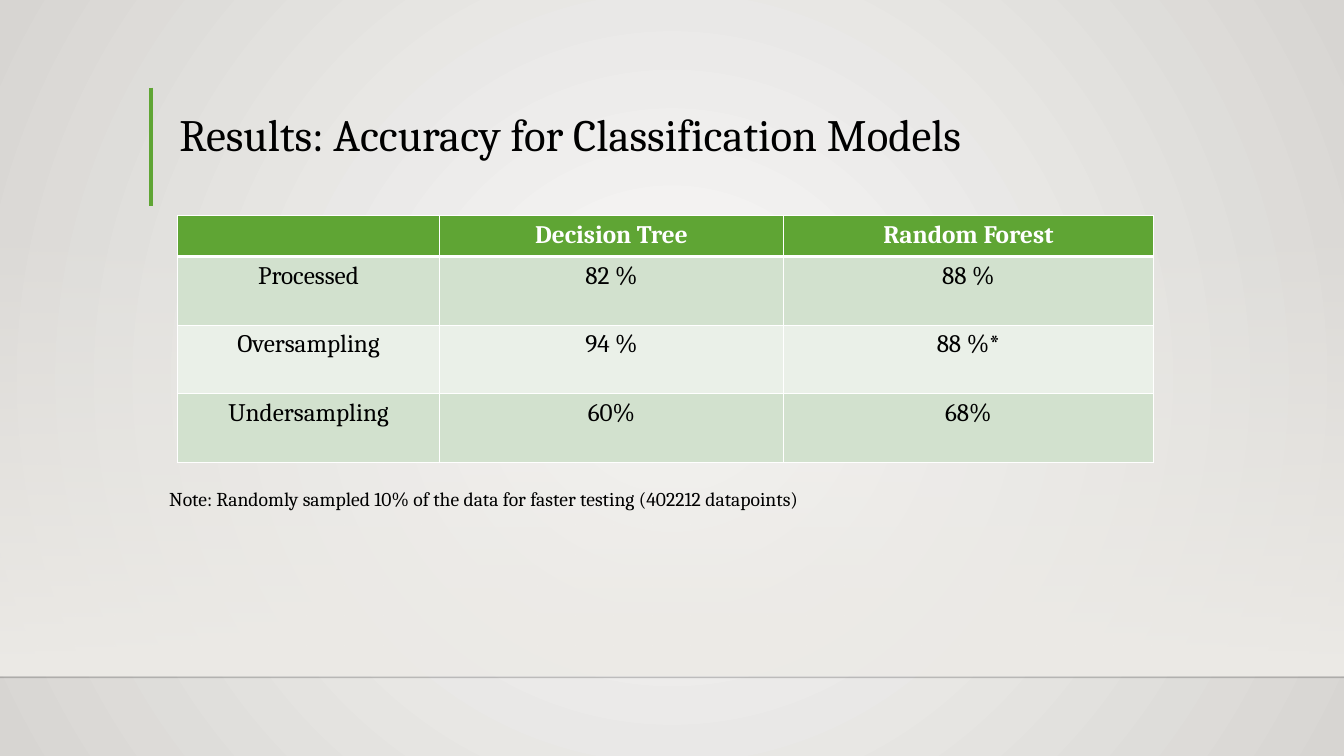
from lxml import etree
from pptx import Presentation
from pptx.dml.color import RGBColor
from pptx.enum.shapes import MSO_CONNECTOR, MSO_SHAPE
from pptx.enum.text import MSO_ANCHOR, MSO_AUTO_SIZE, PP_ALIGN
from pptx.oxml import parse_xml
from pptx.oxml.ns import nsdecls, qn
from pptx.util import Inches, Pt

LINE = MSO_CONNECTOR.STRAIGHT
RECT = MSO_SHAPE.RECTANGLE
BOTTOM, TOP = MSO_ANCHOR.BOTTOM, MSO_ANCHOR.TOP
FIXED = MSO_AUTO_SIZE.NONE
LEFT, CENTER = PP_ALIGN.LEFT, PP_ALIGN.CENTER

FONT = "Cambria"
BLACK, WHITE, GREEN = "000000", "FFFFFF", "5FA534"
BANDS = ["D2E1CE", "EAF0E8"]
COLS = [2.6, 3.41, 3.67]
ROWS = [0.4, 0.68, 0.68, 0.68]
DATA = [
    ["", "Decision Tree", "Random Forest"],
    ["Processed", "82 %", "88 %"],
    ["Oversampling", "94 %", "88 %*"],
    ["Undersampling", "60%", "68%"],
]


def rgb(code):
    return RGBColor.from_string(code)


def fade(color, percent):
    """Set the opacity of a solid colour element."""
    etree.SubElement(color, qn("a:alpha"), val=str(percent * 1000))


def blend(fill, first, last):
    fill.gradient()
    for stop, code, place in zip(fill.gradient_stops, (first, last), (0, 1)):
        stop.color.rgb = rgb(code)
        stop.position = place


def write(frame, text, size, align=LEFT, color=BLACK, bold=False):
    frame.text = text
    para = frame.paragraphs[0]
    para.alignment = align
    for run in para.runs:
        font = run.font
        font.name, font.size, font.bold = FONT, Pt(size), bold
        font.color.rgb = rgb(color)
    return para


def rule(slide, start, end, color, width):
    line = slide.shapes.add_connector(LINE, *map(Inches, start + end))
    line.line.color.rgb = rgb(color)
    line.line.width = Pt(width)
    etree.SubElement(line.element.spPr, qn("a:effectLst"))
    return line


def backdrop(slide, width, height):
    # Round gradient behind the whole slide
    blend(slide.background.fill, "FAFAF9", "D7D5D2")
    grad = slide.element.find(".//" + qn("a:gradFill"))
    grad.replace(grad.find(qn("a:lin")), parse_xml(
        f'<a:path {nsdecls("a")} path="circle">'
        '<a:fillToRect l="50000" t="50000" r="50000" b="50000"/></a:path>'))

    # Wall that fades in downwards to the floor line
    floor = height - 0.78
    wall = slide.shapes.add_shape(
        RECT, 0, Inches(2.2), Inches(width), Inches(floor - 2.22))
    wall.shadow.inherit = False
    wall.line.fill.background()
    blend(wall.fill, "EDEBE7", "EDEBE7")
    wall.fill.gradient_angle = 270
    fade(wall.element.spPr.find(".//" + qn("a:srgbClr")), 0)

    edge = rule(slide, (0, floor), (width, floor), "000001", 1)
    fade(edge.element.spPr.find(".//" + qn("a:srgbClr")), 20)


def heading(slide, left, top, width, height):
    # Green bar beside the title
    bar = left - 0.18
    rule(slide, (bar, top + 0.37), (bar, top + 1.54), GREEN, 3)

    title = slide.shapes.title
    title.left, title.top = Inches(left), Inches(top)
    title.width, title.height = Inches(width), Inches(height)
    frame = title.text_frame
    para = write(frame, "Results: Accuracy for Classification Models", 32)
    para.line_spacing = 0.9
    frame.vertical_anchor = BOTTOM
    frame.auto_size = FIXED
    frame.word_wrap = True


def border(cell, widths):
    """Draw white borders, given as points by side."""
    props = cell._tc.get_or_add_tcPr()
    for side, width in widths.items():
        props.append(parse_xml(
            f'<a:ln{side} {nsdecls("a")} w="{Pt(width)}"><a:solidFill>'
            f'<a:srgbClr val="{WHITE}"/></a:solidFill></a:ln{side}>'))


def scores(slide, left, top, width, height):
    table = slide.shapes.add_table(
        len(ROWS), len(COLS), Inches(left), Inches(top),
        Inches(width), Inches(height)).table
    for col, size in zip(table.columns, COLS):
        col.width = Inches(size)
    for row, size in zip(table.rows, ROWS):
        row.height = Inches(size)

    for r, texts in enumerate(DATA):
        head = r == 0
        for c, text in enumerate(texts):
            cell = table.cell(r, c)
            border(cell, {"L": 1, "R": 1, "T": 3 if r == 1 else 1,
                          "B": 3 if head else 1})
            cell.fill.solid()
            cell.fill.fore_color.rgb = rgb(GREEN if head else BANDS[(r - 1) % 2])
            cell.vertical_anchor = TOP
            write(cell.text_frame, text, 18, CENTER,
                  WHITE if head else BLACK, head)


def note(slide, left, top, width, height):
    box = slide.shapes.add_textbox(*map(Inches, (left, top, width, height)))
    box.text_frame.word_wrap = True
    write(box.text_frame, "Note: Randomly sampled 10% of the data for faster "
          "testing (402212 datapoints)", 14)


def main():
    deck = Presentation()
    width, height = 13.33, 7.5
    deck.slide_width, deck.slide_height = Inches(width), Inches(height)
    slide = deck.slides.add_slide(deck.slide_layouts[5])
    backdrop(slide, width, height)
    heading(slide, 1.68, 0.5, 10.41, 1.15)
    scores(slide, 1.76, 2.14, sum(COLS), sum(ROWS))
    note(slide, 1.58, 4.78, 8.04, 0.34)

    # Bring the title in front of the wall
    tree = slide.shapes.element
    tree.append(slide.shapes.title.element)
    deck.save("out.pptx")


if __name__ == "__main__":
    main()
